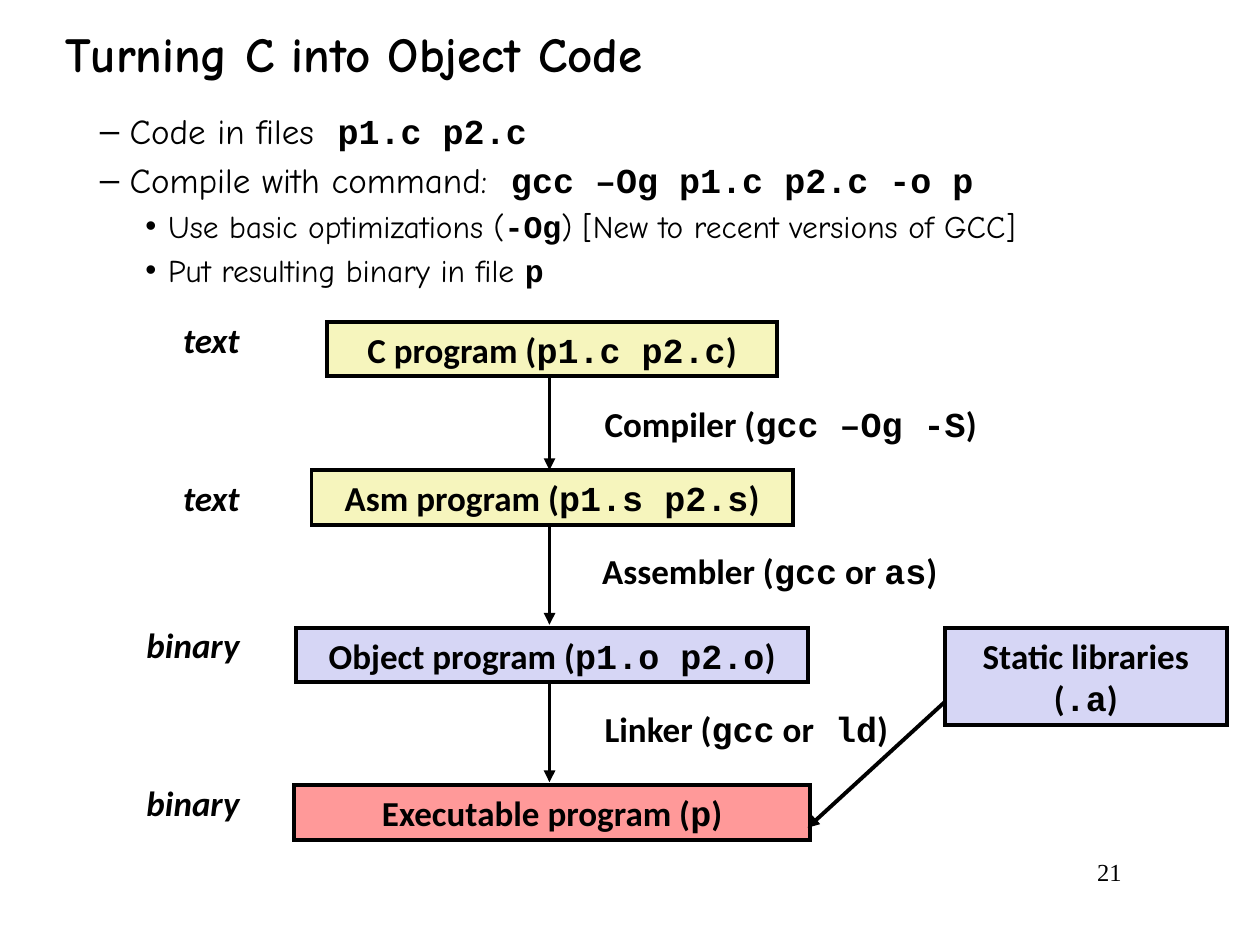
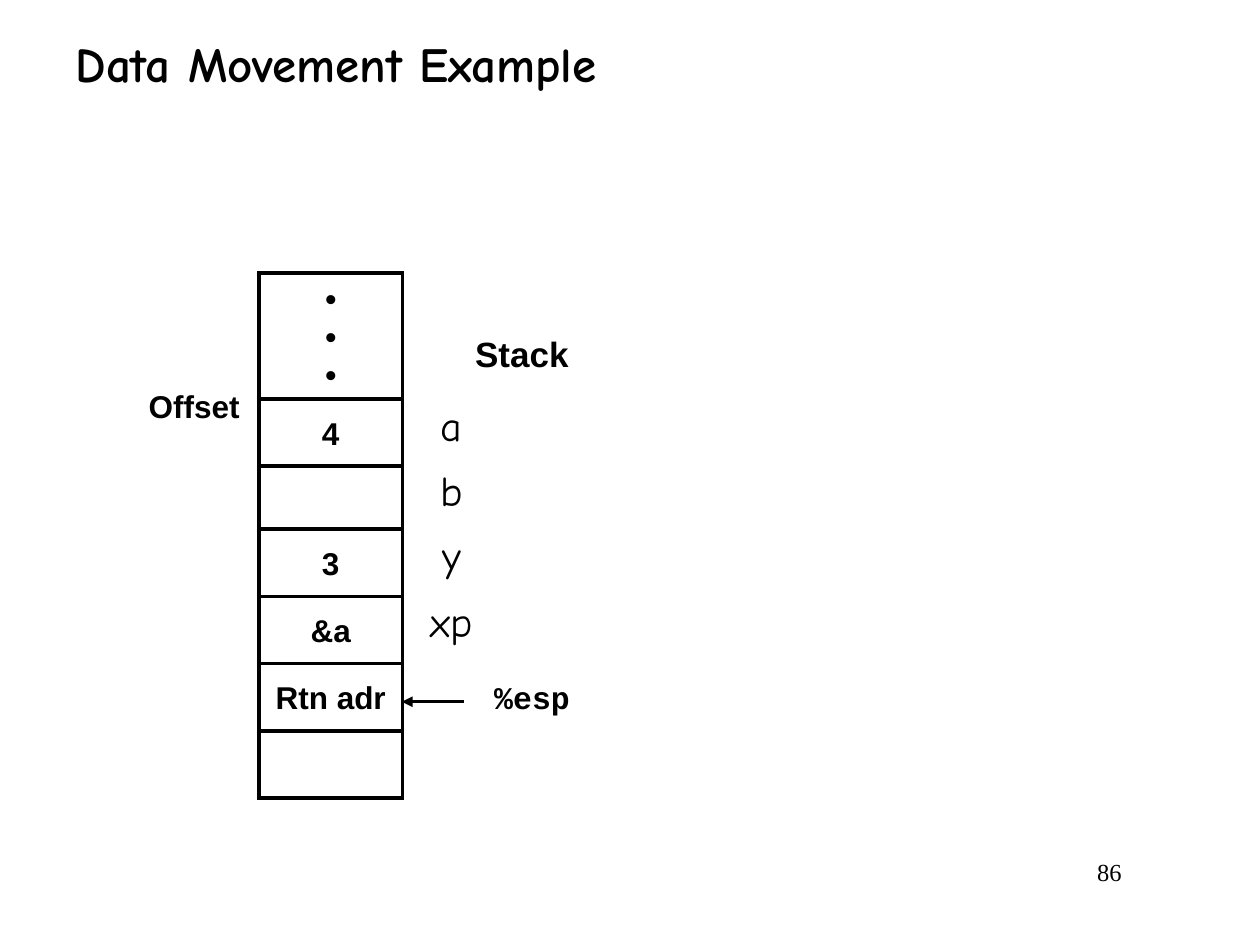
from lxml.etree import SubElement
from pptx import Presentation
from pptx.dml.color import RGBColor
from pptx.enum.shapes import MSO_CONNECTOR, MSO_SHAPE
from pptx.enum.text import MSO_ANCHOR, PP_ALIGN
from pptx.oxml.ns import qn
from pptx.util import Pt

INK, PAPER = "000000", "FFFFFF"
CREAM, LILAC, ROSE = "F6F5BD", "D6D6F5", "FF9999"
HAND, CODE, SANS, PLAIN = "Comic Neue", "Courier New", "Arial", "Calibri"
LEFT, MID, RIGHT = PP_ALIGN.LEFT, PP_ALIGN.CENTER, PP_ALIGN.RIGHT
hue = RGBColor.from_string


def put(slide, spot, text, font, size, align=MID, fill=None, rim=2.25,
        bold=True, slant=False, wrap=True, anchor=MSO_ANCHOR.TOP):
    """Add a text box, or a rectangle if filled; text in backticks is bold code."""
    spot = [Pt(x) for x in spot]
    if fill:
        shape = slide.shapes.add_shape(MSO_SHAPE.RECTANGLE, *spot)
        shape.shadow.inherit = False
        shape.fill.solid()
        shape.fill.fore_color.rgb = hue(fill)
        shape.line.color.rgb = hue(INK)
        shape.line.width = Pt(rim)
        SubElement(shape.line._get_or_add_ln(), qn("a:miter"), lim="800000")
    else:
        shape = slide.shapes.add_textbox(*spot)
    frame = shape.text_frame
    frame.word_wrap = wrap
    frame.vertical_anchor = anchor
    for i, line in enumerate(text.split("\n")):
        par = frame.add_paragraph() if i else frame.paragraphs[0]
        par.alignment = align
        for j, part in enumerate(line.split("`")):
            if part:
                run = par.add_run()
                run.text = part
                run.font.name = CODE if j % 2 else font
                run.font.size = Pt(size)
                run.font.bold = bold or j % 2 == 1
                run.font.italic = slant
                run.font.color.rgb = hue(INK)
    return shape


def arrow(slide, x1, y1, x2, y2, width):
    line = slide.shapes.add_connector(
        MSO_CONNECTOR.STRAIGHT, Pt(x1), Pt(y1), Pt(x2), Pt(y2))
    line.line.color.rgb = hue(INK)
    line.line.width = Pt(width)
    SubElement(line.line._get_or_add_ln(), qn("a:tailEnd"), type="triangle")
    SubElement(line._element.spPr, qn("a:effectLst"))


deck = Presentation()
deck.slide_width, deck.slide_height = Pt(720), Pt(540)

# Titles and page numbers
slides = []
for name, page, spot in [
    ("Turning C into Object Code", "21", (30, 8, 551, 45)),
    ("Data Movement Example", "86", (36, 0, 636, 72)),
]:
    slide = deck.slides.add_slide(deck.slide_layouts[5])
    title = slide.shapes.title
    title.left, title.top, title.width, title.height = [Pt(x) for x in spot]
    title.text_frame.text = name
    title.text_frame.vertical_anchor = MSO_ANCHOR.MIDDLE
    par = title.text_frame.paragraphs[0]
    par.alignment = LEFT
    font = par.runs[0].font
    font.name, font.size, font.bold = HAND, Pt(28), True
    font.color.rgb = hue(INK)
    put(slide, (546, 486, 102, 36), page, "Times New Roman", 14, RIGHT, bold=False)
    slides.append(slide)
build, stack = slides

# Bullets on how to compile
notes = put(build, (23, 59, 654, 115),
            "Code in files  `p1.c p2.c`\n"
            "Compile with command:  `gcc –Og p1.c p2.c -o p`\n"
            "Use basic optimizations (`-Og`) [New to recent versions of GCC]\n"
            "Put resulting binary in file `p`",
            HAND, 20, LEFT, bold=False)
for i, par in enumerate(notes.text_frame.paragraphs):
    mark, left, hang, size = ("–", 44, 17, 20) if i < 2 else ("•", 66, 13, 18)
    if i:
        par.space_before = Pt(size * 0.2)
    props = par._p.get_or_add_pPr()
    props.set("marL", str(Pt(left)))
    props.set("indent", str(-Pt(hang)))
    SubElement(props, qn("a:buFont"), typeface=SANS)
    SubElement(props, qn("a:buChar"), char=mark)
    for run in par.runs:
        run.font.size = Pt(size)

# Stages of the build, from source to executable
axis = 314
for kind, top, drop, width, fill, text in [
    ("text", 184, 5.4, 257, CREAM, "C program (`p1.c p2.c`)"),
    ("text", 268.8, 0, 275, CREAM, "Asm program (`p1.s p2.s`)"),
    ("binary", 358.8, 6, 293, LILAC, "Object program (`p1.o p2.o`)"),
    ("binary", 448.8, 6, 295, ROSE, "Executable program (`p`)"),
]:
    put(build, (64, top - drop, 80, 36), kind, PLAIN, 20, RIGHT, slant=True)
    put(build, (315.5 - width / 2, top, width, 31), text, PLAIN, 20, fill=fill)
put(build, (540, 358.8, 161, 55.4), "Static libraries (`.a`)", PLAIN, 20, fill=LILAC)

for left, top, text, start, end in [
    (338.4, 226.5, "Compiler (`gcc –Og -S`)", 215.3, 268.6),
    (337, 310.7, "Assembler (`gcc` or `as`)", 300.2, 357),
    (338.4, 401, "Linker (`gcc` or` ld`)", 390.2, 447),
]:
    put(build, (left, top, 240, 31), text, PLAIN, 20, LEFT)
    arrow(build, axis, start, axis, end, 2.25)
arrow(build, 540, 401, 461.5, 473, 2.25)

# Stack frame, drawn upwards so that each cell overlaps the one below
cells = [(156, 72, "•\n•\n•"), (228, 38.4, "4"), (263.7, 38.4, "")]
cells += [(302.4 + 38.4 * i, 38.4, text)
          for i, text in enumerate(["3", "&a", "Rtn adr", ""])]
for top, high, text in reversed(cells):
    put(stack, (148, top, 82, high), text, SANS, 18, fill=PAPER, rim=2,
        wrap=False, anchor=MSO_ANCHOR.MIDDLE)

for spot, text, font, size in [
    ((270, 383.8, 68, 29), "%esp", CODE, 18),
    ((71, 217.4, 80, 29), "Offset", SANS, 18),
    ((259, 186.5, 78.5, 36), "Stack", SANS, 20),
]:
    put(stack, spot, text, font, size, wrap=False)
arrow(stack, 265, 401, 229.7, 401, 2)

# Names of the stack slots
names = ["a", "b", "y", "xp"]
table = stack.shapes.add_table(
    len(names), 1, Pt(234), Pt(226.8), Pt(48), Pt(37.4 * len(names))).table
table.first_row = table.horz_banding = False
for i, name in enumerate(names):
    cell = table.cell(i, 0)
    cell.fill.solid()
    cell.fill.fore_color.rgb = hue(PAPER)
    cell.text_frame.text = name
    par = cell.text_frame.paragraphs[0]
    par.alignment = MID
    font = par.runs[0].font
    font.name, font.size, font.bold = HAND, Pt(24), False
    font.color.rgb = hue(INK)

deck.save("out.pptx")
